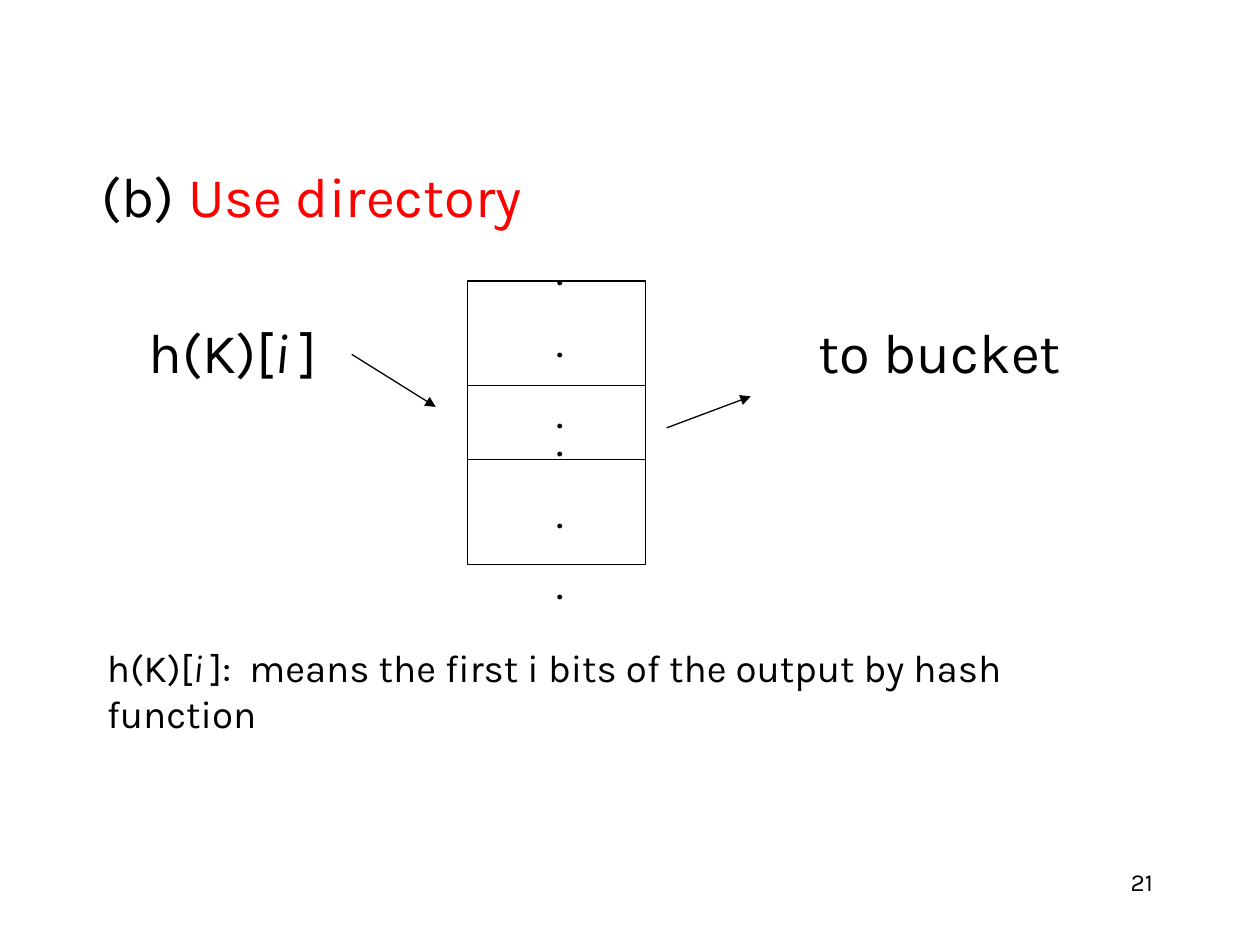
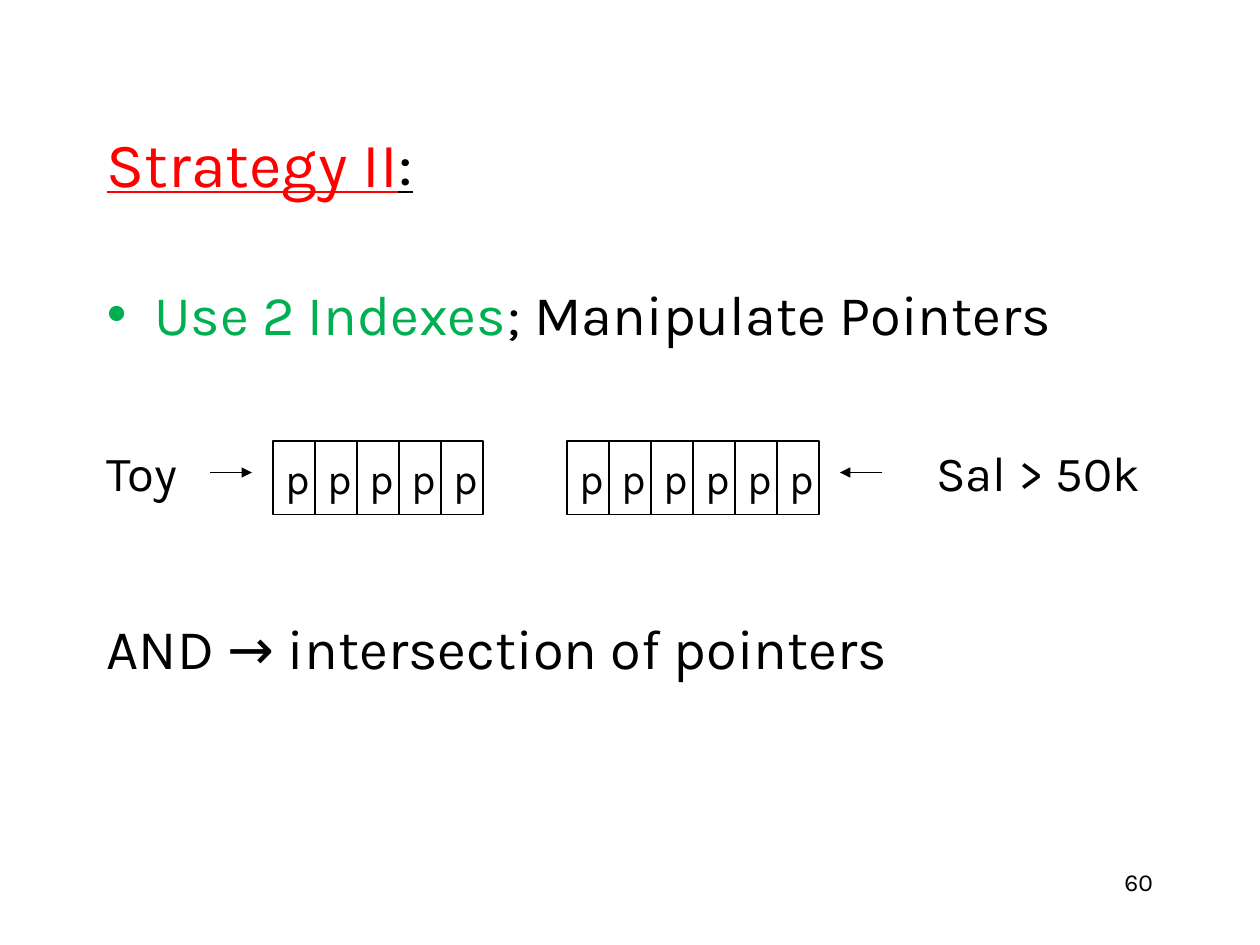
"""Build two database-indexing slides: a hash directory and pointer intersection."""
import pptx
import pptx.util
import pptx.dml.color
import pptx.enum.shapes
import pptx.enum.text
import pptx.oxml.ns
from lxml import etree

FONT, BLACK, WHITE, RED, GREEN = "Karla", "000000", "FFFFFF", "FF0000", "00B050"
A = "{%s}" % pptx.oxml.ns.nsuri("a")
rgb = pptx.dml.color.RGBColor.from_string
MIDDLE = pptx.enum.text.MSO_ANCHOR.MIDDLE
CENTER = pptx.enum.text.PP_ALIGN.CENTER
RIGHT = pptx.enum.text.PP_ALIGN.RIGHT

prs = pptx.Presentation()
prs.slide_width, prs.slide_height = pptx.util.Inches(10), pptx.util.Inches(7.5)
COL, ROW = prs.slide_width / 120, prs.slide_height / 90


def write(sp, paras, anchor=None, wrap=True):
    """Fill a shape with paragraphs, each a dict of formats and a list of runs."""
    tf = sp.text_frame
    tf.word_wrap = wrap
    if anchor is not None:
        tf.vertical_anchor = anchor
    for n, (fmt, runs) in enumerate(paras):
        p = tf.add_paragraph() if n else tf.paragraphs[0]
        p.alignment = fmt.get("align", pptx.enum.text.PP_ALIGN.LEFT)
        if "before" in fmt:
            p.space_before = pptx.util.Pt(fmt["before"])
        pPr = p._p.get_or_add_pPr()
        if "bullet" in fmt:
            hang = round(fmt["hang"] * COL)
            pPr.set("marL", str(hang))
            pPr.set("indent", str(-hang))
            etree.SubElement(pPr, A + "buFont", typeface="Arial")
            etree.SubElement(pPr, A + "buChar", char=fmt["bullet"])
        if "tabs" in fmt:
            tabs = etree.SubElement(pPr, A + "tabLst")
            for stop in fmt["tabs"]:
                etree.SubElement(tabs, A + "tab", pos=str(round(stop * COL)), algn="l")
        for text, size, color, *style in runs:
            r = p.add_run()
            r.text = text
            r.font.color.rgb = rgb(color)
            values = {"name": FONT, "size": pptx.util.Pt(size), **(style[0] if style else {})}
            for name, value in values.items():
                setattr(r.font, name, value)


def line(s, x1, y1, x2, y2, arrow=False):
    """Draw a thin black line between two grid points."""
    ends = [round(v) for v in (x1 * COL, y1 * ROW, x2 * COL, y2 * ROW)]
    c = s.shapes.add_connector(pptx.enum.shapes.MSO_CONNECTOR.STRAIGHT, *ends)
    c.line.color.rgb = rgb(BLACK)
    c.line.width = pptx.util.Pt(0.75)
    if arrow:
        etree.SubElement(c.line._get_or_add_ln(), A + "tailEnd", type="triangle")
    etree.SubElement(c._element.spPr, A + "effectLst")


directory, pointers = [prs.slides.add_slide(prs.slide_layouts[6]) for _ in range(2)]

DIR_X, DIR_Y, DIR_W, DIR_H = 44.5, 26.75, 17, 27
CELL_W, CELL_H, CELL_Y = 4, 7, 42
rects = [(directory, DIR_X, DIR_Y, DIR_W, DIR_H, "")]
for start, count in ((26, 5), (54, 6)):
    rects += [(pointers, start + i * CELL_W, CELL_Y, CELL_W, CELL_H, "p") for i in range(count)]

for s, x, y, w, h, label in rects:
    sp = s.shapes.add_shape(pptx.enum.shapes.MSO_SHAPE.RECTANGLE,
                            round(x * COL), round(y * ROW), round(w * COL), round(h * ROW))
    sp.shadow.inherit = False
    sp.fill.solid()
    sp.fill.fore_color.rgb = rgb(WHITE)
    sp.line.color.rgb = rgb(BLACK)
    sp.line.width = pptx.util.Pt(0.75)
    if label:
        write(sp, [({}, [(label, 24, BLACK)])], MIDDLE, wrap=False)

dots = [({"align": CENTER, "before": 12 if n else 0}, [(".", 24, BLACK)]) for n in range(3)]
italic, underline = {"italic": True}, {"underline": True}
texts = [
    (directory, (8.5, 14.75, 102, 43.75), None, True, [
        ({}, [("(b) ", 32, BLACK), ("Use directory", 32, RED)]),
        ({"before": 51, "tabs": (4.5, 68.3)},
         [("\th(K)[", 32, BLACK), ("i ", 32, BLACK, italic), ("]\tto bucket", 32, BLACK)])]),
    (directory, (51.6, 22.6, 3.6, 19.6), MIDDLE, False, dots),
    (directory, (51.6, 38.9, 3.6, 19.6), MIDDLE, False, dots),
    (directory, (9, 58.25, 102, 15), MIDDLE, True, [
        ({}, [("h(K)[", 22, BLACK), ("i ", 22, BLACK, italic),
              ("]:  means the first i bits of the output by hash function", 22, BLACK)])]),
    (pointers, (9, 8, 102, 15), MIDDLE, True, [
        ({}, [("Strategy II", 36, RED, underline), (":", 36, BLACK, underline)])]),
    (pointers, (9, 26, 102, 54), None, True, [
        ({"bullet": "•", "hang": 4.5},
         [("Use 2 Indexes", 32, GREEN), ("; Manipulate Pointers", 32, BLACK)]),
        ({"before": 51, "tabs": (79,)},
         [("Toy", 28, BLACK), ("\t", 32, BLACK), ("Sal > 50k", 28, BLACK)]),
        ({"before": 63}, [("AND → intersection of pointers", 32, BLACK)])]),
]
for s, number in ((directory, "21"), (pointers, "60")):
    texts.append((s, (86, 82, 25, 6), None, True, [({"align": RIGHT}, [(number, 14, BLACK)])]))

for s, (x, y, w, h), anchor, wrap, paras in texts:
    sp = s.shapes.add_textbox(round(x * COL), round(y * ROW), round(w * COL), round(h * ROW))
    write(sp, paras, anchor, wrap)

for drop in (10, 17):
    line(directory, DIR_X, DIR_Y + drop, DIR_X + DIR_W, DIR_Y + drop)
line(directory, 33.5, 33.75, 41.5, 38.75, arrow=True)
line(directory, 63.5, 40.75, 71.5, 37.75, arrow=True)
for tail, head in ((20, 24), (84, 80)):
    line(pointers, tail, 45, head, 45, arrow=True)

prs.save("out.pptx")
